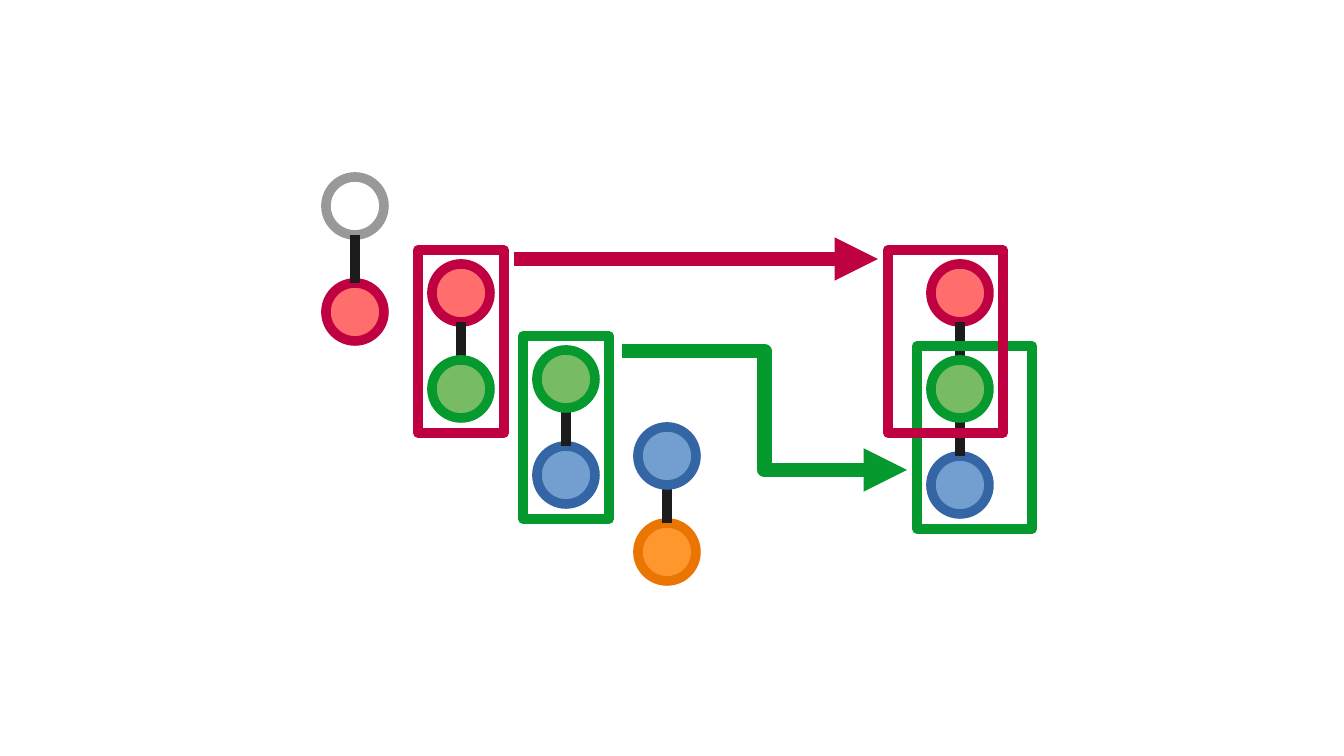
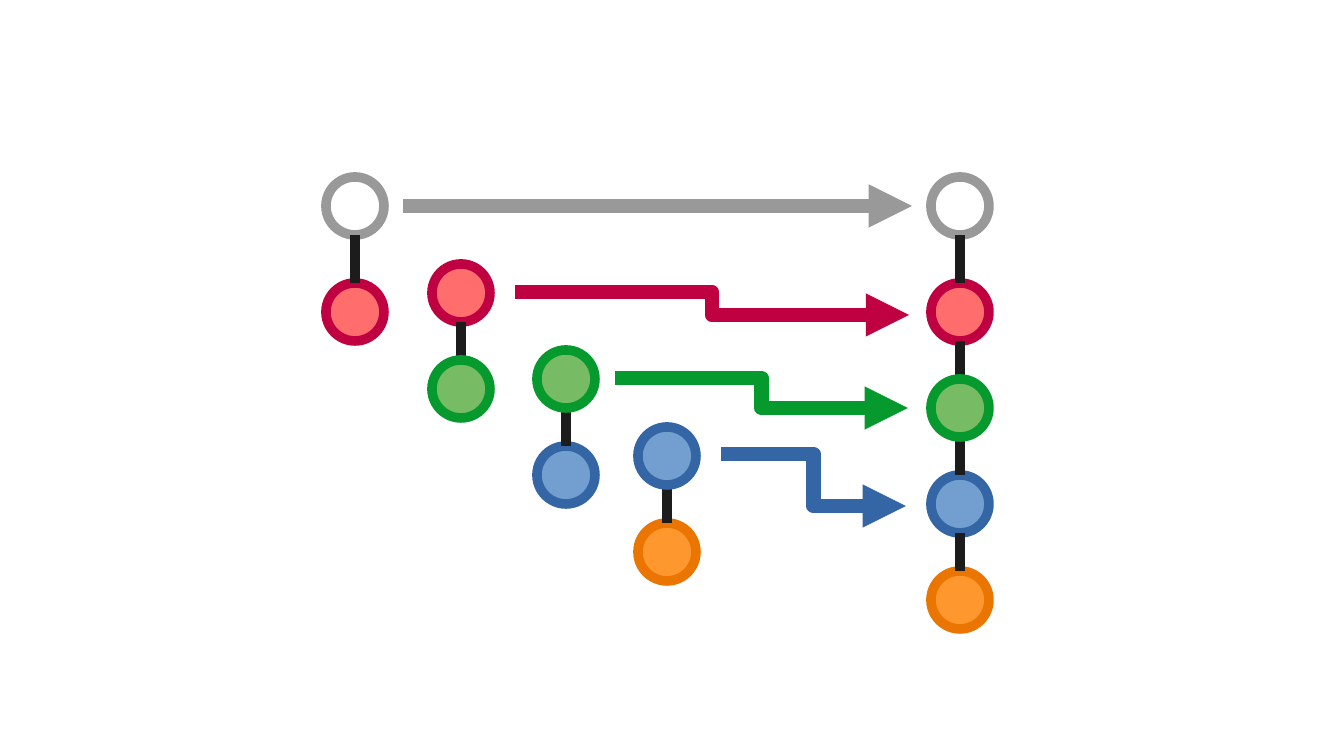
from lxml import etree
from pptx import Presentation
from pptx import util as u
from pptx.dml import color
from pptx.enum import shapes
from pptx.oxml import ns

EMU_PER_PX = 914400 / 122

# Node colours: (fill, outline)
COLORS = {
    "white": ("FFFFFF", "999999"),
    "red": ("FF6D6D", "BF0041"),
    "green": ("77BC65", "069A2E"),
    "blue": ("729FCF", "3465A4"),
    "orange": ("FF972F", "EA7500"),
}
LINK = "1C1C1C"

# Overlapping pairs on both slides: centre x, nodes with centre y, node in front
PAIRS = [
    (355, [("white", 206), ("red", 312)], None),
    (461, [("red", 293), ("green", 389)], "green"),
    (566, [("green", 379), ("blue", 475)], "green"),
    (667, [("blue", 456), ("orange", 552)], "blue"),
]
MERGED_X = 960


def px(n):
    return u.Emu(round(n * EMU_PER_PX))


def rgb(value):
    return color.RGBColor.from_string(value)


class Deck:
    RADIUS = 29
    OUTLINE = u.Pt(5.67)
    ARROW = u.Pt(8.5)
    FRAME_HEIGHT = 183
    FRAME_LEAD = 43  # from the frame's top to the first node's centre

    def __init__(self, width, height):
        self.prs = Presentation()
        self.prs.slide_width, self.prs.slide_height = px(width), px(height)
        self.s = None

    def new_slide(self):
        self.s = self.prs.slides.add_slide(self.prs.slide_layouts[6])

    def stroke(self, sp, value, width):
        sp.line.color.rgb = rgb(value)
        sp.line.width = width
        ln = sp.line._get_or_add_ln()
        etree.SubElement(ln, ns.qn("a:round"))
        return ln

    def shape(self, kind, left, top, width, height, line, fill=None):
        sp = self.s.shapes.add_shape(kind, px(left), px(top), px(width), px(height))
        sp.shadow.inherit = False
        if fill:
            sp.fill.solid()
            sp.fill.fore_color.rgb = rgb(fill)
        else:
            sp.fill.background()
        self.stroke(sp, line, self.OUTLINE)

    def connector(self, start, end, value, width, head=False):
        straight = start[0] == end[0] or start[1] == end[1]
        kind = shapes.MSO_CONNECTOR.STRAIGHT if straight else shapes.MSO_CONNECTOR.ELBOW
        sp = self.s.shapes.add_connector(kind, *map(px, start + end))
        ln = self.stroke(sp, value, width)
        if head:
            etree.SubElement(ln, ns.qn("a:tailEnd"), type="triangle")
        etree.SubElement(sp._element.spPr, ns.qn("a:effectLst"))

    def node(self, x, y, name):
        r = self.RADIUS
        fill, line = COLORS[name]
        self.shape(shapes.MSO_SHAPE.OVAL, x - r, y - r, 2 * r, 2 * r, line, fill)

    def chain(self, x, nodes, front=None):
        """Nodes in a column, joined by links; the front node covers its links."""
        for name, y in nodes:
            if name != front:
                self.node(x, y, name)
        for (_, upper), (_, lower) in zip(nodes, nodes[1:]):
            self.connector((x, lower - self.RADIUS), (x, upper + self.RADIUS),
                           LINK, self.OUTLINE)
        for name, y in nodes:
            if name == front:
                self.node(x, y, name)

    def frame(self, left, first_y, width, name):
        self.shape(shapes.MSO_SHAPE.RECTANGLE, left, first_y - self.FRAME_LEAD,
                   width, self.FRAME_HEIGHT, COLORS[name][1])

    def arrow(self, start, end, name):
        self.connector(start, end, COLORS[name][1], self.ARROW, head=True)


def main():
    deck = Deck(1344, 756)

    # Slide 1: two pairs overlap in the merged chain
    deck.new_slide()
    for pair in PAIRS:
        deck.chain(*pair)
    deck.frame(523, 379, 86, "green")
    deck.frame(418, 293, 86, "red")
    deck.chain(MERGED_X, [("red", 293), ("green", 389), ("blue", 485)], "green")
    deck.frame(917, 389, 115, "green")
    deck.frame(888, 293, 115, "red")
    deck.arrow((514, 259), (878, 259), "red")
    deck.arrow((622, 351), (907, 470), "green")

    # Slide 2: all pairs joined into the full chain
    deck.new_slide()
    for pair in PAIRS:
        deck.chain(*pair)
    steps = [(name, 312 + 96 * i)
             for i, name in enumerate(["red", "green", "blue", "orange"])]
    deck.chain(MERGED_X, [("white", 206)] + steps, "green")
    for start, end, name in [
        ((403, 206), (912, 206), "white"),
        ((515, 292), (909, 315), "red"),
        ((615, 378), (908, 408), "green"),
        ((721, 454), (906, 506), "blue"),
    ]:
        deck.arrow(start, end, name)

    deck.prs.save("out.pptx")


if __name__ == "__main__":
    main()
